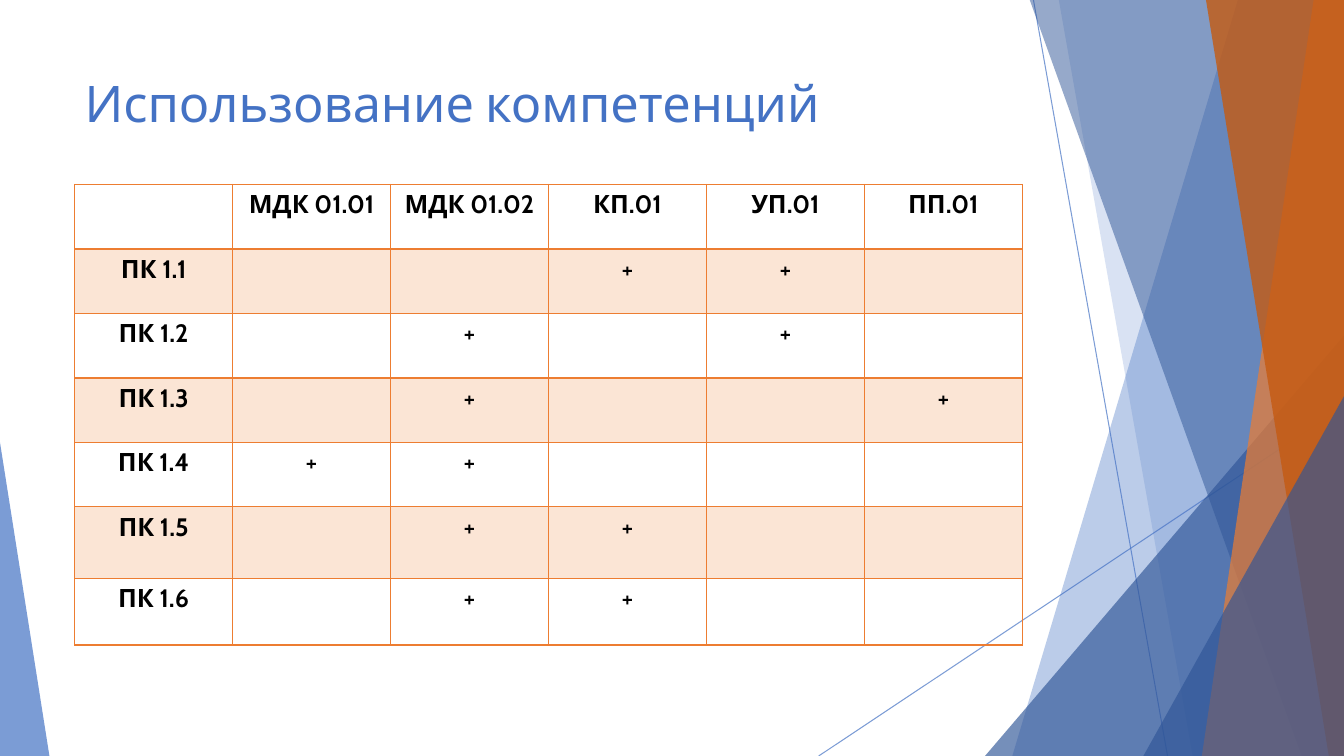
from lxml.etree import SubElement
from pptx import Presentation
from pptx.dml.color import RGBColor
from pptx.enum.shapes import MSO_CONNECTOR, MSO_SHAPE
from pptx.enum.text import MSO_ANCHOR, PP_ALIGN
from pptx.oxml.ns import qn
from pptx.util import Inches, Pt

COLORS = {
    "blue": "4472C4",
    "navy": "2F5597",
    "orange": "ED7D31",
    "rust": "C55A11",
    "black": "000000",
}
FONT = "Cabin"


def set_opacity(fill_parent, percent):
    color = fill_parent.find(qn("a:solidFill")).find(qn("a:srgbClr"))
    SubElement(color, qn("a:alpha"), val=str(percent * 1000))


def paint(shape, color, percent):
    shape.shadow.inherit = False
    shape.fill.solid()
    shape.fill.fore_color.rgb = RGBColor.from_string(COLORS[color])
    shape.line.fill.background()
    set_opacity(shape._element.spPr, percent)


presentation = Presentation()
presentation.slide_width = Inches(13.33)
presentation.slide_height = Inches(7.5)
slide = presentation.slides.add_slide(presentation.slide_layouts[5])
shapes = slide.shapes

for start_x, start_y, end_x, end_y in [(10.25, 0, 11.58, 7.5), (13.33, 4.03, 8.12, 7.5)]:
    connector = shapes.add_connector(
        MSO_CONNECTOR.STRAIGHT, Inches(start_x), Inches(start_y), Inches(end_x), Inches(end_y)
    )
    connector.line.width = Pt(0.75)
    connector.line.color.rgb = RGBColor.from_string(COLORS["blue"])
    properties = connector._element.spPr
    set_opacity(properties.find(qn("a:ln")), 70)
    SubElement(properties, qn("a:effectLst"))

facets = [
    ("band", (12.28, 10.04), "blue", 36),
    ("band", (10.5, 11.83), "blue", 20),
    ("triangle", (9.77, 3.33, 3.56, 4.17, 1), "navy", 66),
    ("band", (10.21, 12.91), "navy", 50),
    ("band", (13.03, 11.92), "orange", 70),
    ("band", (11.96, 13.18), "rust", 80),
    ("triangle", (11.34, 3.93, 1.99, 3.57, 1), "navy", 66),
    ("triangle", (0, 4.39, 0.49, 3.11, 0), "blue", 70),
]
for kind, geometry, color, percent in facets:
    if kind == "band":
        top_x, bottom_x = geometry
        builder = shapes.build_freeform(Inches(top_x), Inches(-0.01))
        corners = [(13.33, -0.01), (13.33, 7.5), (bottom_x, 7.5)]
        builder.add_line_segments([(Inches(x), Inches(y)) for x, y in corners], close=True)
        facet = builder.convert_to_shape()
    else:
        left, top, width, height, apex = geometry
        facet = shapes.add_shape(
            MSO_SHAPE.ISOSCELES_TRIANGLE, Inches(left), Inches(top), Inches(width), Inches(height)
        )
        facet.adjustments[0] = apex
    paint(facet, color, percent)

title = shapes.title
title.left, title.top = Inches(0.74), Inches(0.67)
title.width, title.height = Inches(9.4), Inches(1.44)
title.text_frame.text = "Использование компетенций"
title.text_frame.vertical_anchor = MSO_ANCHOR.TOP
title.text_frame.word_wrap = True
paragraph = title.text_frame.paragraphs[0]
paragraph.alignment = PP_ALIGN.LEFT
font = paragraph.runs[0].font
font.name, font.size = FONT, Pt(36)
font.color.rgb = RGBColor.from_string(COLORS["blue"])

rows = [
    ["", "МДК 01.01", "МДК 01.02", "КП.01", "УП.01", "ПП.01"],
    ["ПК 1.1", "", "", "+", "+", ""],
    ["ПК 1.2", "", "+", "", "+", ""],
    ["ПК 1.3", "", "+", "", "", "+"],
    ["ПК 1.4", "+", "+", "", "", ""],
    ["ПК 1.5", "", "+", "+", "", ""],
    ["ПК 1.6", "", "+", "+", "", ""],
]
row_heights = [0.64, 0.64, 0.64, 0.64, 0.64, 0.71, 0.66]
table = shapes.add_table(
    len(rows), len(rows[0]), Inches(0.74), Inches(1.83), Inches(9.4), Inches(4.57)
).table
table.first_row = False
table.horz_banding = False
for column in table.columns:
    column.width = Inches(9.4 / len(rows[0]))

for row_index, (texts, height) in enumerate(zip(rows, row_heights)):
    table.rows[row_index].height = Inches(height)
    for column_index, text in enumerate(texts):
        cell = table.cell(row_index, column_index)
        properties = cell._tc.get_or_add_tcPr()
        for side in ["L", "R", "T", "B"]:
            under_header = (row_index, side) in [(0, "B"), (1, "T")]
            border = SubElement(properties, qn(f"a:ln{side}"), w=str(Pt(2 if under_header else 1)))
            border_fill = SubElement(border, qn("a:solidFill"))
            SubElement(border_fill, qn("a:srgbClr"), val=COLORS["orange"])
        if row_index % 2:
            cell.fill.solid()
            cell.fill.fore_color.rgb = RGBColor.from_string(COLORS["orange"])
            set_opacity(properties, 20)
        else:
            cell.fill.background()
        if text:
            cell.text_frame.text = text
            paragraph = cell.text_frame.paragraphs[0]
            paragraph.alignment = PP_ALIGN.CENTER
            font = paragraph.runs[0].font
            font.name, font.size = FONT, Pt(18)
            font.bold = text != "+"
            font.color.rgb = RGBColor.from_string(COLORS["black"])

presentation.save("out.pptx")
